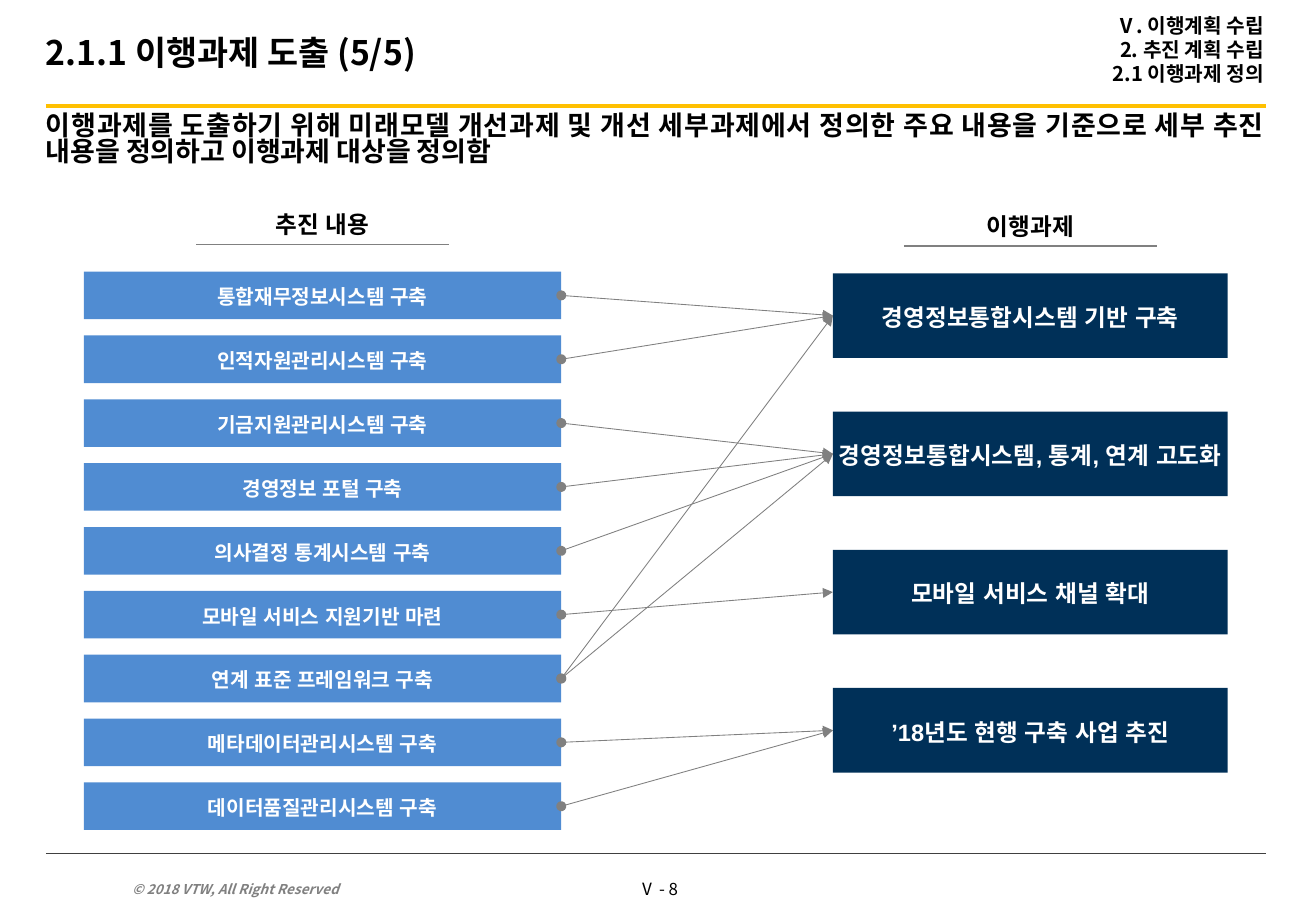
from collections import namedtuple
from dataclasses import dataclass

from lxml import etree
from pptx import Presentation
from pptx.dml.color import RGBColor
from pptx.enum.shapes import MSO_CONNECTOR, MSO_SHAPE
from pptx.enum.text import MSO_ANCHOR, PP_ALIGN
from pptx.oxml.ns import qn
from pptx.util import Pt

STRAIGHT = MSO_CONNECTOR.STRAIGHT
RECTANGLE = MSO_SHAPE.RECTANGLE
TOP, MIDDLE, BOTTOM = MSO_ANCHOR.TOP, MSO_ANCHOR.MIDDLE, MSO_ANCHOR.BOTTOM
LEFT, CENTER, RIGHT, JUSTIFY = PP_ALIGN.LEFT, PP_ALIGN.CENTER, PP_ALIGN.RIGHT, PP_ALIGN.JUSTIFY
SITE_LEFT, SITE_RIGHT = 1, 3

Box = namedtuple("Box", "left top width height")


@dataclass(frozen=True)
class Theme:
    """Colours, fonts and type sizes of the slide."""
    ink: str = "000000"
    paper: str = "FFFFFF"
    accent: str = "FFC000"
    rule: str = "404040"
    grey: str = "808080"
    content: str = "508CD2"
    task: str = "003058"
    korean: str = "Noto Sans CJK KR"
    latin: str = "Arial"
    title: float = 20
    message: float = 16
    heading: float = 14
    label: float = 12
    page: float = 10
    copyright: float = 8


THEME = Theme()

CONTENTS = [
    ("통합재무정보시스템 구축", [0]),
    ("인적자원관리시스템 구축", [0]),
    ("기금지원관리시스템 구축", [1]),
    ("경영정보 포털 구축", [1]),
    ("의사결정 통계시스템 구축", [1]),
    ("모바일 서비스 지원기반 마련", [2]),
    ("연계 표준 프레임워크 구축", [0, 1]),
    ("메타데이터관리시스템 구축", [3]),
    ("데이터품질관리시스템 구축", [3]),
]
TASKS = [
    "경영정보통합시스템 기반 구축",
    "경영정보통합시스템, 통계, 연계 고도화",
    "모바일 서비스 채널 확대",
    "’18년도 현행 구축 사업 추진",
]


def apply(target, values):
    """Set every named value on the target."""
    for name, value in values.items():
        setattr(target, name, value)


def write(shape, lines, size, color=THEME.ink, font=THEME.korean, align=LEFT, anchor=MIDDLE,
          insets=(0, 0, 0, 0), spacing=None, gap=0, bold=True, italic=False, wrap=True):
    """Fill a shape with formatted paragraphs."""
    frame = shape.text_frame
    sides = ("margin_left", "margin_top", "margin_right", "margin_bottom")
    apply(frame, dict(zip(sides, map(Pt, insets)), word_wrap=wrap, vertical_anchor=anchor))
    for index, line in enumerate(lines):
        paragraph = frame.paragraphs[0] if index == 0 else frame.add_paragraph()
        apply(paragraph, {"alignment": align, "line_spacing": spacing})
        if index:
            paragraph.space_before = Pt(gap)
        run = paragraph.add_run()
        run.text = line
        apply(run.font, {"size": Pt(size), "name": font, "bold": bold, "italic": italic})
        run.font.color.rgb = RGBColor.from_string(color)
        east_asian = etree.Element(qn("a:ea"), typeface=font)
        run.font._element.find(qn("a:latin")).addnext(east_asian)


def add_text(slide, box, lines, size, **style):
    """Place a text box."""
    write(slide.shapes.add_textbox(*map(Pt, box)), lines, size, **style)


def add_line(slide, start, end, color, width, arrow=False):
    """Draw a straight line, with a dot and an arrowhead if asked."""
    line = slide.shapes.add_connector(STRAIGHT, *map(Pt, start + end))
    line.line.color.rgb = RGBColor.from_string(color)
    line.line.width = Pt(width)
    properties = line._element.spPr
    if arrow:
        outline = properties.find(qn("a:ln"))
        for end_name, kind in (("a:headEnd", "oval"), ("a:tailEnd", "triangle")):
            etree.SubElement(outline, qn(end_name), type=kind)
    etree.SubElement(properties, qn("a:effectLst"))
    return line


def add_header(slide, box):
    """Place the title, the section path and the rule under them."""
    add_text(slide, Box(box.left, box.top, 520, box.height), ["2.1.1 이행과제 도출 (5/5)"], THEME.title)
    add_text(slide, Box(box.left + 328, box.top, box.width - 329, box.height),
             ["Ⅴ. 이행계획 수립", "2. 추진 계획 수립", "2.1 이행과제 정의"],
             THEME.label, align=RIGHT, spacing=0.82, gap=2.4)
    rule_top = box.top + box.height + 1.2
    add_line(slide, (box.left, rule_top), (box.left + box.width, rule_top), THEME.accent, 2.5)


def add_message(slide, box):
    """Place the key message."""
    add_text(slide, box,
             ["이행과제를 도출하기 위해 미래모델 개선과제 및 개선 세부과제에서 정의한 주요 내용을 "
              "기준으로 세부 추진 내용을 정의하고 이행과제 대상을 정의함"],
             THEME.message, align=JUSTIFY, anchor=TOP, spacing=0.82)


def add_column(slide, box, heading, labels, bar_height, color, size):
    """Place an underlined heading over evenly spaced bars and return the bars."""
    middle = box.left + box.width / 2
    add_text(slide, Box(middle - 68, box.top - 41, 136, 25), [heading], THEME.heading,
             font=THEME.latin, align=CENTER, anchor=TOP, insets=(7.2, 3.6, 7.2, 3.6), spacing=1.05)
    underline = box.top - 16
    add_line(slide, (middle - 75, underline), (middle + 75, underline), THEME.grey, 1)
    pitch = (box.height - bar_height) / (len(labels) - 1)
    bars = []
    for index, label in enumerate(labels):
        place = Box(box.left, box.top + index * pitch, box.width, bar_height)
        bar = slide.shapes.add_shape(RECTANGLE, *map(Pt, place))
        bar.shadow.inherit = False
        bar.fill.solid()
        bar.fill.fore_color.rgb = RGBColor.from_string(color)
        bar.line.fill.background()
        write(bar, [label], size, color=THEME.paper, font=THEME.latin, align=CENTER,
              insets=(1.4, 2.9, 1.4, 1.4))
        bars.append(bar)
    return bars


def add_mapping(slide, box):
    """Place both columns and link each content to its tasks."""
    contents = add_column(slide, Box(box.left, box.top, 283, box.height), "추진 내용",
                          [label for label, _ in CONTENTS], 28.2, THEME.content, THEME.label)
    tasks = add_column(slide, Box(box.left + box.width - 234, box.top + 1, 234, 296), "이행과제",
                       TASKS, 50.2, THEME.task, THEME.heading)
    for content, (_, targets) in zip(contents, CONTENTS):
        for target in targets:
            link = add_line(slide, (0, 0), (0, 0), THEME.grey, 0.5, arrow=True)
            link.begin_connect(content, SITE_RIGHT)
            link.end_connect(tasks[target], SITE_LEFT)


def add_footer(slide, box):
    """Place the closing rule, the copyright line and the page number."""
    add_line(slide, (box.left, box.top), (box.left + box.width, box.top), THEME.rule, 0.5)
    add_text(slide, Box(box.left + 44, box.top + 10, 171, 19.5), ["© 2018 VTW, All Right Reserved"],
             THEME.copyright, color=THEME.grey, italic=True, anchor=BOTTOM, insets=(7.2, 3.6, 7.2, 3.6))
    add_text(slide, Box(box.left + 342, box.top + 11, 42, 19.5), ["Ⅴ - 8"], THEME.page,
             align=CENTER, anchor=TOP, insets=(4.3, 3.6, 4.3, 3.6), bold=False, wrap=False)


def main():
    """Build the slide and save it."""
    deck = Presentation()
    apply(deck, {"slide_width": Pt(780), "slide_height": Pt(540)})
    slide = deck.slides.add_slide(deck.slide_layouts[6])
    add_header(slide, Box(27.2, 0, 723, 61.5))
    add_message(slide, Box(27.2, 67.7, 723, 49))
    add_mapping(slide, Box(49.7, 161, 678, 331))
    add_footer(slide, Box(27.2, 506, 723, 34))
    deck.save("out.pptx")


if __name__ == "__main__":
    main()
